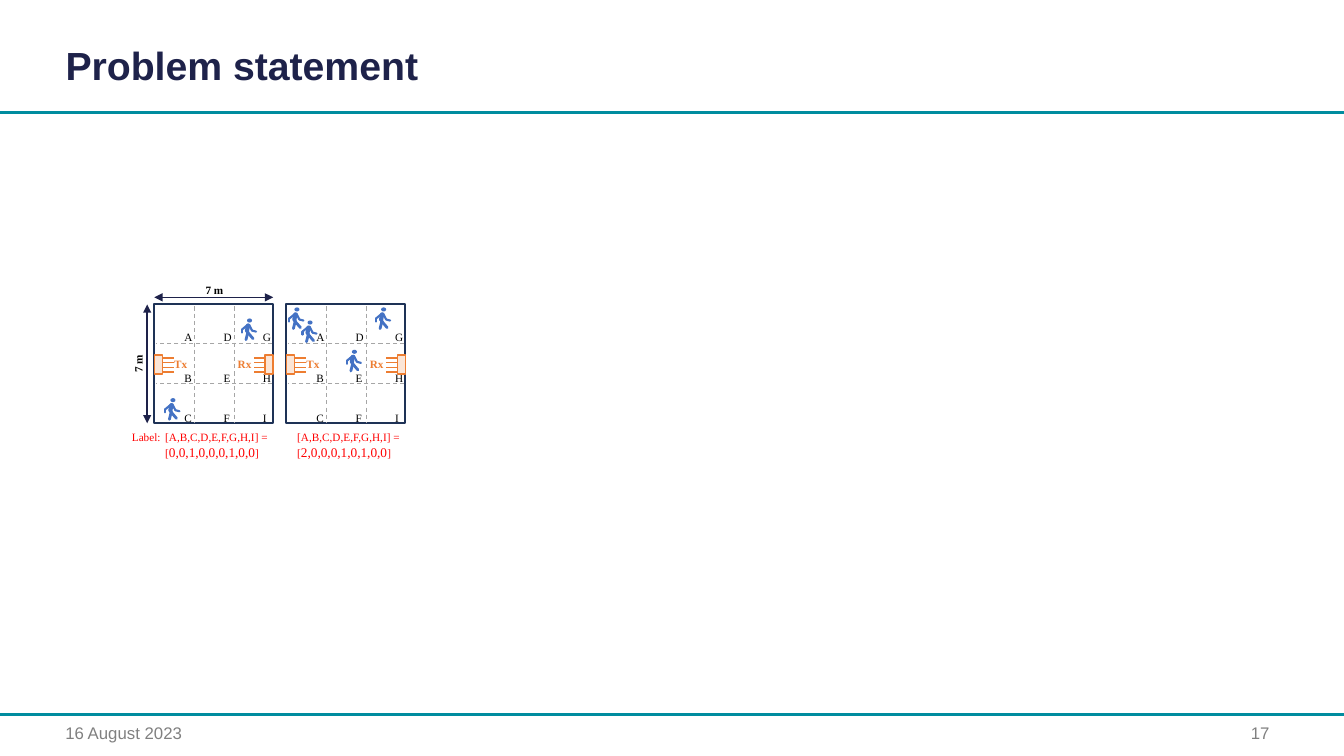
import pptx
import pptx.util
import pptx.dml.color
import pptx.enum.dml
import pptx.enum.shapes
import pptx.enum.text
import pptx.oxml.ns
import pptx.oxml.xmlchemy

Inches = pptx.util.Inches
Pt = pptx.util.Pt
ALIGN = pptx.enum.text.PP_ALIGN

COLORS = {
    "rule": "008C9F", "navy": "1E224A", "footer": "808080",
    "wall": "1E3256", "grid": "A6A6A6", "person": "4472C4",
    "antenna": "ED7D31", "antenna_fill": "FBE5D6",
    "black": "000000", "label": "FF0000",
}
SERIF = "Times New Roman"
ROOM_SIZE = 1.18
ROOM_TOP = 3.02

# Limbs relative to the head: start x, start y, end x, end y, width in points
LIMBS = [
    (0.01, 0.07, 0, 0.12, 3),
    (0.01, 0.06, -0.05, 0.11, 1.5),
    (-0.05, 0.11, -0.05, 0.14, 1.5),
    (0.01, 0.13, -0.01, 0.21, 2),
    (0, 0.13, 0.06, 0.2, 2),
    (0.02, 0.06, 0.05, 0.12, 1.5),
    (0.05, 0.12, 0.09, 0.13, 1.5),
]

# Left edge of each room, its label values, and head positions inside it
ROOMS = [
    (1.53, "0,0,1,0,0,0,1,0,0", [(0.16, 0.93), (0.92, 0.14)]),
    (2.84, "2,0,0,0,1,0,1,0,0",
     [(0.08, 0.03), (0.21, 0.16), (0.65, 0.45), (0.94, 0.03)]),
]


def rgb(name):
    return pptx.dml.color.RGBColor.from_string(COLORS[name])


def add_line(shapes, start, end, color, width, dashed=False, arrows=False, rounded=False):
    line = shapes.add_connector(
        pptx.enum.shapes.MSO_CONNECTOR.STRAIGHT,
        Inches(start[0]), Inches(start[1]), Inches(end[0]), Inches(end[1]))
    line.line.color.rgb = rgb(color)
    line.line.width = Pt(width)
    if dashed:
        line.line.dash_style = pptx.enum.dml.MSO_LINE.DASH
    properties = line._element.spPr
    outline = properties.find(pptx.oxml.ns.qn("a:ln"))
    if rounded:
        outline.set("cap", "rnd")
    if arrows:
        for tag in ("a:headEnd", "a:tailEnd"):
            end_mark = pptx.oxml.xmlchemy.OxmlElement(tag)
            end_mark.set("type", "triangle")
            outline.append(end_mark)
    properties.append(pptx.oxml.xmlchemy.OxmlElement("a:effectLst"))


def add_shape(shapes, kind, left, top, width, height, fill=None, line=None, line_width=1):
    shape = shapes.add_shape(kind, Inches(left), Inches(top), Inches(width), Inches(height))
    shape.shadow.inherit = False
    if fill:
        shape.fill.solid()
        shape.fill.fore_color.rgb = rgb(fill)
    else:
        shape.fill.background()
    if line:
        shape.line.color.rgb = rgb(line)
        shape.line.width = Pt(line_width)
    else:
        shape.line.fill.background()


def add_run(paragraph, text, size, color, font=SERIF, bold=False):
    run = paragraph.add_run()
    run.text = text
    run.font.name = font
    run.font.size = Pt(size)
    run.font.bold = bold
    run.font.color.rgb = rgb(color)


def add_text(slide, left, top, width, height, text, size=8, color="black",
             font=SERIF, bold=False, align=ALIGN.LEFT):
    box = slide.shapes.add_textbox(Inches(left), Inches(top), Inches(width), Inches(height))
    box.text_frame.word_wrap = True
    if align == ALIGN.LEFT:
        box.text_frame.margin_right = 0
    paragraph = box.text_frame.paragraphs[0]
    paragraph.alignment = align
    add_run(paragraph, text, size, color, font, bold)
    return box


def add_title(slide, left, top, width, height):
    title = slide.shapes.title
    title.left, title.top = Inches(left), Inches(top)
    title.width, title.height = Inches(width), Inches(height)
    frame = title.text_frame
    frame.auto_size = pptx.enum.text.MSO_AUTO_SIZE.NONE
    frame.vertical_anchor = pptx.enum.text.MSO_ANCHOR.BOTTOM
    paragraph = frame.paragraphs[0]
    paragraph.alignment = ALIGN.LEFT
    paragraph.line_spacing = 0.9
    add_run(paragraph, "Problem statement", 28, "navy", "Arial", True)


def add_footer(slide, left, top, right):
    add_text(slide, left, top, 2.9, 0.4, "16 August 2023", 12, "footer", "Arial")
    add_text(slide, right - 3.27, top, 3.27, 0.4, "17", 12, "footer", "Arial",
             align=ALIGN.RIGHT)


def add_person(slide, left, top):
    """Draw a walking figure whose head has its corner at left, top."""
    shapes = slide.shapes.add_group_shape().shapes
    add_shape(shapes, pptx.enum.shapes.MSO_SHAPE.OVAL, left, top, 0.05, 0.04, "person")
    for x1, y1, x2, y2, width in LIMBS:
        add_line(shapes, (left + x1, top + y1), (left + x2, top + y2),
                 "person", width, rounded=True)


def add_antenna(slide, left, top, prong_left):
    shapes = slide.shapes.add_group_shape().shapes
    add_shape(shapes, pptx.enum.shapes.MSO_SHAPE.RECTANGLE, left, top, 0.08, 0.19,
              "antenna_fill", "antenna")
    for index in range(4):
        y = top + 0.03 + index * 0.14 / 3
        add_line(shapes, (prong_left, y), (prong_left + 0.12, y), "antenna", 1)


def add_room(slide, left, top, values, people):
    """Draw a 3 by 3 room with its zones, antennas, people and label."""
    add_shape(slide.shapes, pptx.enum.shapes.MSO_SHAPE.RECTANGLE, left, top,
              ROOM_SIZE, ROOM_SIZE, line="wall", line_width=1.5)
    for index, zone in enumerate("ABCDEFGHI"):
        column, row = divmod(index, 3)
        add_text(slide, left + 0.2 + 0.39 * column, top + 0.21 + 0.4 * row, 0.27, 0.24, zone)
    for x, y in people:
        add_person(slide, left + x, top + y)
    add_antenna(slide, left, top + 0.5, left + 0.08)
    add_antenna(slide, left + ROOM_SIZE - 0.08, top + 0.5, left + ROOM_SIZE - 0.19)
    for offset, name in ((0.1, "Tx"), (0.73, "Rx")):
        add_text(slide, left + offset, top + 0.48, 0.34, 0.24, name,
                 color="antenna", bold=True)
    for step in (1, 2):
        x, y = left + 0.4 * step, top + 0.39 * step
        add_line(slide.shapes, (x, top + 0.02), (x, top + ROOM_SIZE), "grid", 0.75, dashed=True)
        add_line(slide.shapes, (left + ROOM_SIZE - 0.01, y), (left + 0.02, y),
                 "grid", 0.75, dashed=True)
    label = add_text(slide, left + 0.01, top + 1.2, 1.24, 0.4,
                     "[A,B,C,D,E,F,G,H,I] =", color="label")
    paragraph = label.text_frame.add_paragraph()
    for text, size in (("[", 8), (values, 9.5), ("]", 8)):
        add_run(paragraph, text, size, "label")


def add_dimensions(slide, left, top):
    """Mark the width and height of the room at left, top."""
    add_line(slide.shapes, (left, top - 0.07), (left + ROOM_SIZE, top - 0.07),
             "navy", 1, arrows=True)
    add_line(slide.shapes, (left - 0.07, top), (left - 0.07, top + ROOM_SIZE),
             "navy", 1, arrows=True)
    for x, y, rotation in ((0.41, -0.26, 0), (-0.37, 0.44, 270)):
        box = add_text(slide, left + x, top + y, 0.43, 0.24, "7 m", bold=True)
        box.rotation = rotation


def main():
    presentation = pptx.Presentation()
    presentation.slide_width = Inches(13.33)
    presentation.slide_height = Inches(7.5)
    slide = presentation.slides.add_slide(presentation.slide_layouts[5])
    for y in (1.12, 7.09):
        add_line(slide.shapes, (0, y), (13.33, y), "rule", 2)
    add_title(slide, 0.55, 0.26, 9.99, 0.67)
    for left, values, people in ROOMS:
        add_room(slide, left, ROOM_TOP, values, people)
    first_left = ROOMS[0][0]
    add_dimensions(slide, first_left, ROOM_TOP)
    add_text(slide, first_left - 0.32, ROOM_TOP + 1.2, 0.51, 0.24, "Label:", color="label")
    add_footer(slide, 0.55, 7.12, 12.69)
    presentation.save("out.pptx")


if __name__ == "__main__":
    main()
